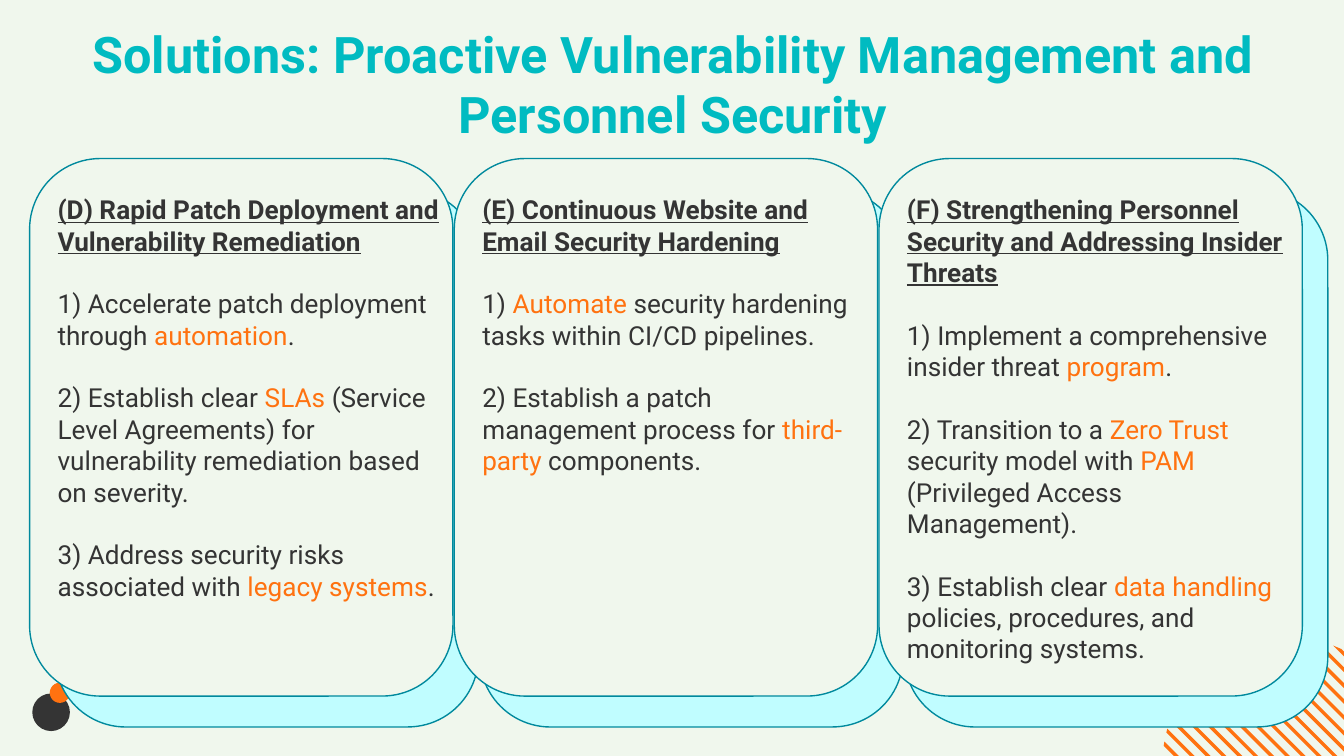
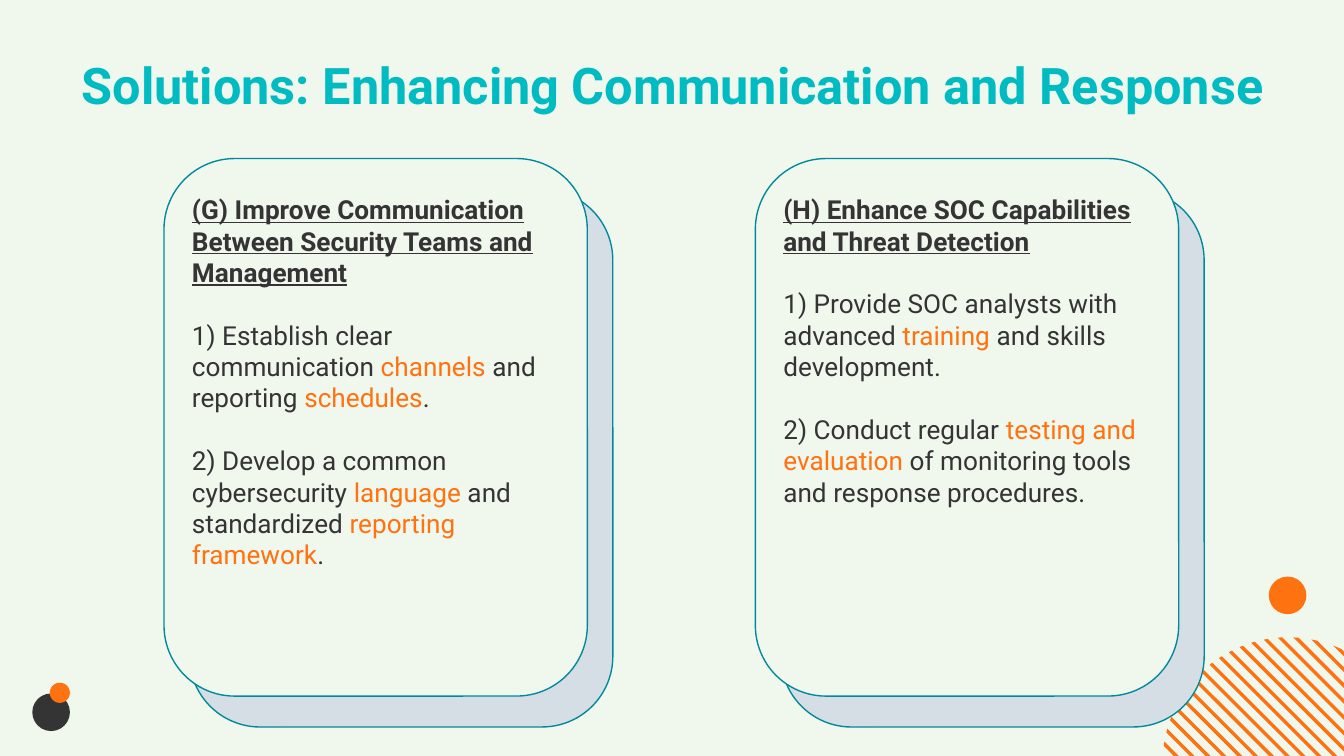
import math
from dataclasses import dataclass

import pptx
import pptx.dml.color
import pptx.enum.shapes
import pptx.enum.text
import pptx.util

DECKS = [
    {
        "title": "Solutions: Proactive Vulnerability Management and Personnel Security",
        "head": (4.9, 0.7, 90.3, 11.1),
        "left": 2.2,
        "pitch": 31.6,
        "back": "C0FDFF",
        "balls": [],
        "cards": [
            (
                "(D) Rapid Patch Deployment and Vulnerability Remediation",
                "1) Accelerate patch deployment through *automation*.",
                "2) Establish clear *SLAs *(Service Level Agreements) for vulnerability remediation based on severity.",
                "3) Address security risks associated with *legacy systems*.",
            ),
            (
                "(E) Continuous Website and Email Security Hardening",
                "1) *Automate* security hardening tasks within CI/CD pipelines.",
                "2) Establish a patch management process for *third-party* components.",
            ),
            (
                "(F) Strengthening Personnel Security and Addressing Insider Threats",
                "1) Implement a comprehensive insider threat *program*.",
                "2) Transition to a *Zero Trust *security model with *PAM* (Privileged Access Management).",
                "3) Establish clear *data handling *policies, procedures, and monitoring systems.",
            ),
        ],
    },
    {
        "title": "Solutions: Enhancing Communication and Response",
        "head": (4.9, 3, 90.3, 5.6),
        "left": 12.2,
        "pitch": 44,
        "back": "D5DEE4",
        "balls": [(94.4, 42.9, 2.8, "FF7210")],
        "cards": [
            (
                "(G) Improve Communication Between Security Teams and Management",
                "1) Establish clear communication *channels* and reporting *schedules*.",
                "2) Develop a common cybersecurity *language* and standardized *reporting framework*.",
            ),
            (
                "(H) Enhance SOC Capabilities and Threat Detection",
                "1) Provide SOC analysts with advanced *training* and skills development.",
                "2) Conduct regular *testing and evaluation* of monitoring tools and response procedures.",
            ),
        ],
    },
]


@dataclass(frozen=True)
class Theme:
    font: str = "Roboto"
    page: str = "F0F7ED"
    title: str = "00BBC1"
    ink: str = "343434"
    pop: str = "FF7210"
    edge: str = "00899D"
    big: float = 27
    text: float = 14
    gap: float = 16.8
    line: float = 0.75


THEME = Theme()
WIDE = pptx.util.Inches(10)
HIGH = pptx.util.Inches(5.625)
CARD = (31.5, 40)
TOP = 11.8
SHIFT = (1.9, 2.3)
NOTE = (1.1, 1.6, 30.5, 39.3)
BALLS = [(2.4, 51.6, 2.8, THEME.ink), (3.7, 50.8, 1.5, THEME.pop)]
DISK = (95.85, 56.77, 9.35)
BARS = {"count": 18, "first": 31.1, "step": 1.18, "thick": 0.36}

SHAPE = pptx.enum.shapes.MSO_SHAPE
ALIGN = pptx.enum.text.PP_ALIGN


def unit(*nums):
    return [round(n * WIDE / 100) for n in nums]


def tint(code):
    return pptx.dml.color.RGBColor.from_string(code)


def paint(shape, fill, edge=None):
    shape.shadow.inherit = False
    shape.fill.solid()
    shape.fill.fore_color.rgb = tint(fill)
    if edge:
        shape.line.color.rgb = tint(edge)
        shape.line.width = pptx.util.Pt(THEME.line)
    else:
        shape.line.fill.background()


def add_run(para, text, size, color, bold=False, under=False):
    run = para.add_run()
    run.text = text
    font = run.font
    font.name = THEME.font
    font.size = pptx.util.Pt(size)
    font.color.rgb = tint(color)
    font.bold = bold
    font.underline = under


def set_frame(frame):
    frame.word_wrap = True
    frame.auto_size = pptx.enum.text.MSO_AUTO_SIZE.NONE
    frame.vertical_anchor = pptx.enum.text.MSO_ANCHOR.TOP
    pad = unit(1)[0]
    frame.margin_left = frame.margin_right = pad
    frame.margin_top = frame.margin_bottom = pad


def add_title(slide, text, box):
    head = slide.shapes.title
    head.left, head.top, head.width, head.height = unit(*box)
    set_frame(head.text_frame)
    para = head.text_frame.paragraphs[0]
    para.alignment = ALIGN.CENTER
    add_run(para, text, THEME.big, THEME.title, bold=True)


def chord(diff):
    x, y, rad = DISK
    off = (diff - (x - y)) / 2
    half = math.sqrt(rad ** 2 / 2 - off ** 2)
    return [unit(x + off + s * half, y - off + s * half) for s in (-1, 1)]


def add_bars(slide):
    group = slide.shapes.add_group_shape()
    for i in range(BARS["count"]):
        diff = BARS["first"] + i * BARS["step"]
        start, end = chord(diff)
        near, far = chord(diff + BARS["thick"])
        pen = group.shapes.build_freeform(*start)
        pen.add_line_segments([end, far, near], close=True)
        paint(pen.convert_to_shape(), THEME.pop)


def add_balls(slide, balls):
    for x, y, size, color in balls:
        ball = slide.shapes.add_shape(SHAPE.OVAL, *unit(x, y, size, size))
        paint(ball, color)


def add_panel(slide, x, y, fill):
    panel = slide.shapes.add_shape(SHAPE.ROUNDED_RECTANGLE, *unit(x, y, *CARD))
    panel.adjustments[0] = 0.167
    paint(panel, fill, THEME.edge)


def add_card(slide, x, back, lines):
    add_panel(slide, x + SHIFT[0], TOP + SHIFT[1], back)
    add_panel(slide, x, TOP, THEME.page)
    dx, dy, wide, high = NOTE
    frame = slide.shapes.add_textbox(*unit(x + dx, TOP + dy, wide, high)).text_frame
    set_frame(frame)
    for i, line in enumerate(lines):
        para = frame.add_paragraph() if i else frame.paragraphs[0]
        para.alignment = ALIGN.LEFT
        para.space_before = pptx.util.Pt(THEME.gap if i else 0)
        for j, part in enumerate(line.split("*")):
            if part:
                color = THEME.pop if j % 2 else THEME.ink
                add_run(para, part, THEME.text, color, bold=not i, under=not i)


def add_slide(deck, data):
    slide = deck.slides.add_slide(deck.slide_layouts[5])
    add_title(slide, data["title"], data["head"])
    add_bars(slide)
    add_balls(slide, data["balls"] + BALLS)
    for i, lines in enumerate(data["cards"]):
        add_card(slide, data["left"] + i * data["pitch"], data["back"], lines)


def main():
    deck = pptx.Presentation()
    deck.slide_width, deck.slide_height = WIDE, HIGH
    fill = deck.slide_master.background.fill
    fill.solid()
    fill.fore_color.rgb = tint(THEME.page)
    for data in DECKS:
        add_slide(deck, data)
    deck.save("out.pptx")


if __name__ == "__main__":
    main()
